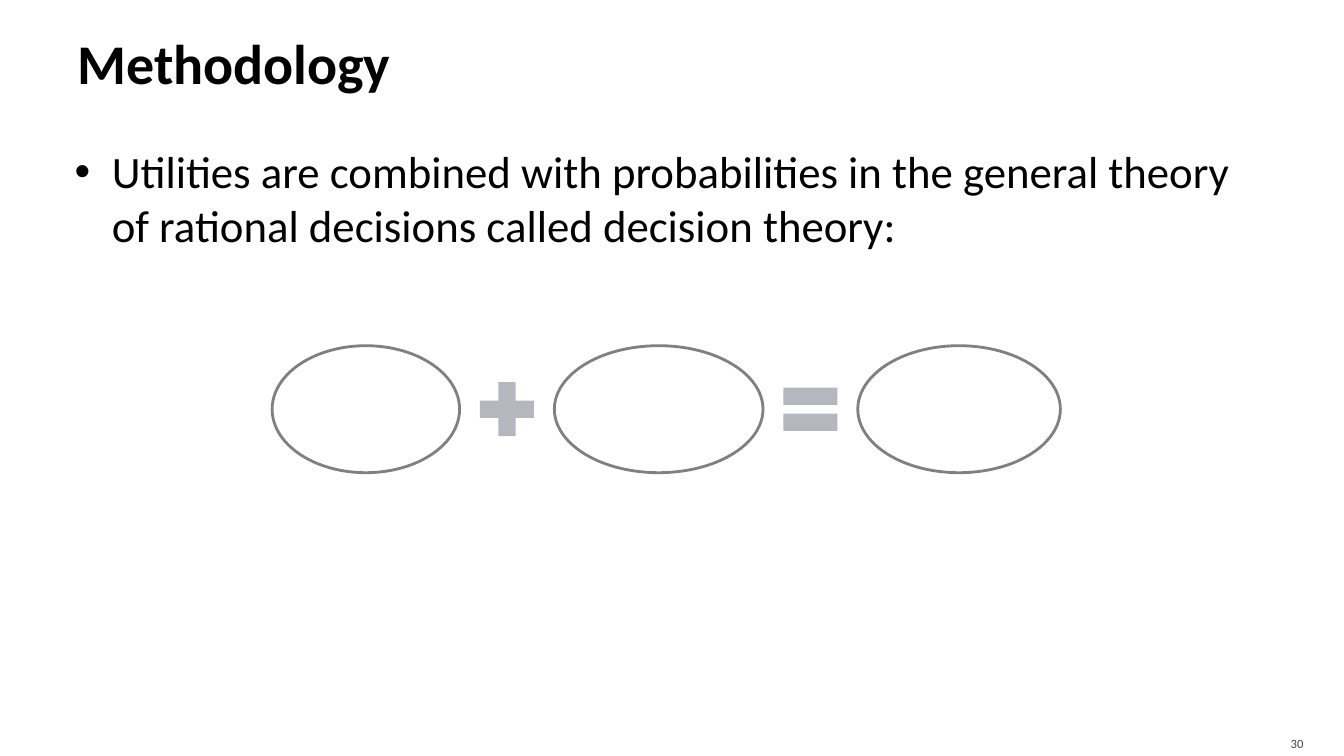
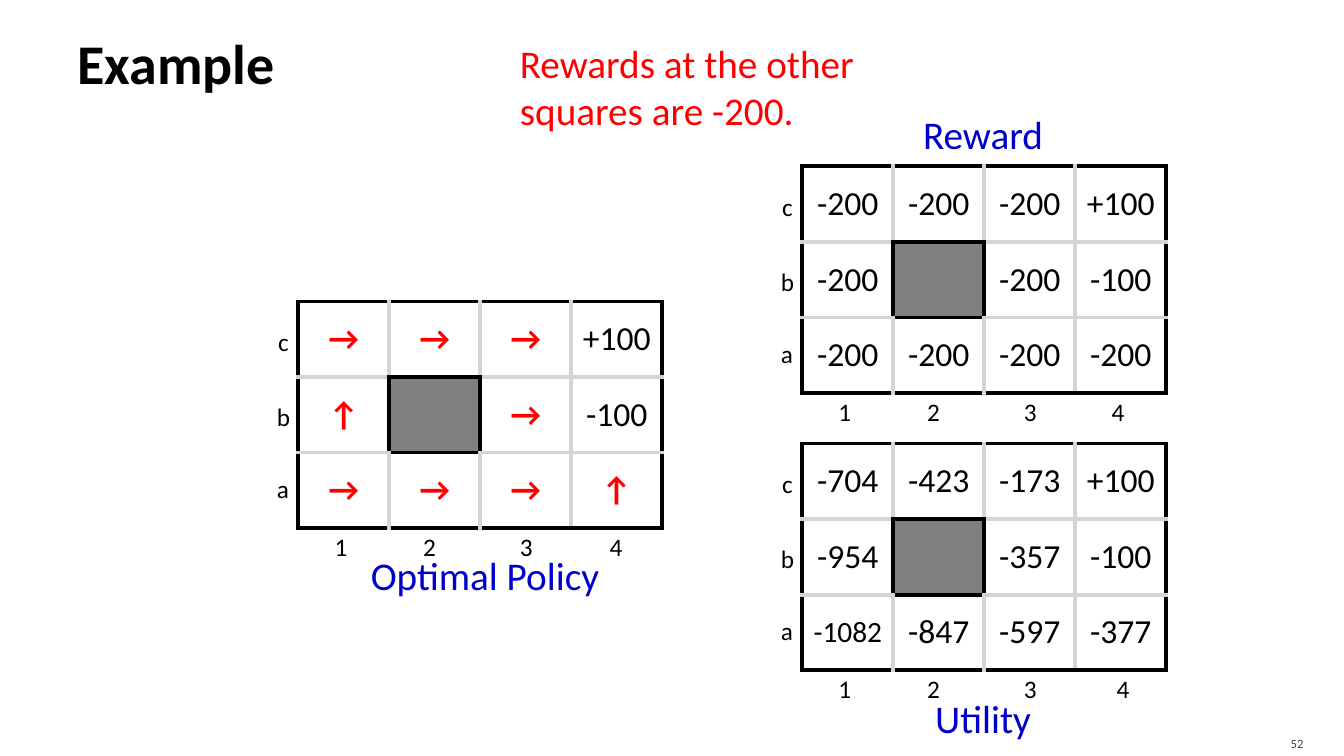
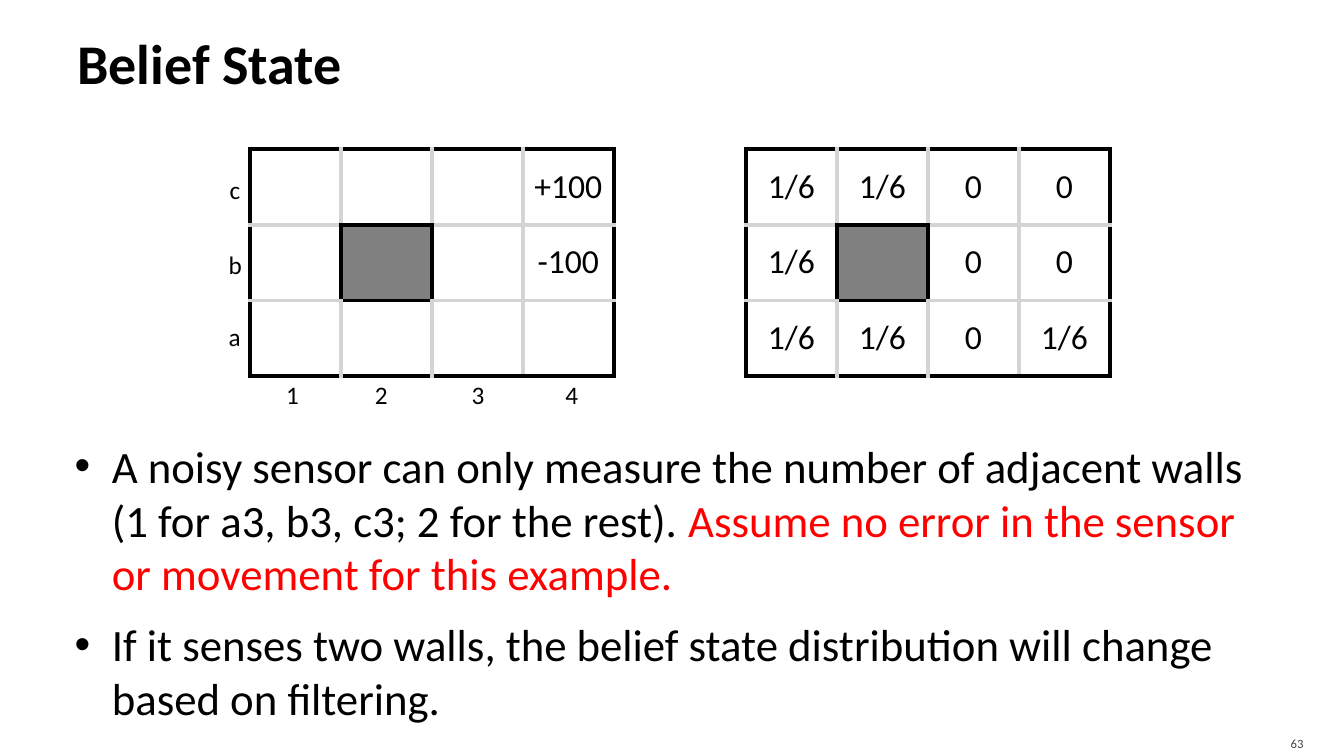
"""Build three slides on decision theory, grid-world utilities and belief states."""
from dataclasses import dataclass

from lxml.etree import SubElement
from pptx import Presentation
from pptx.dml.color import RGBColor as RGB
from pptx.enum.shapes import MSO_SHAPE as SHAPE
from pptx.enum.text import MSO_ANCHOR as ANCHOR, MSO_AUTO_SIZE as FIT, PP_ALIGN as ALIGN
from pptx.oxml import parse_xml
from pptx.oxml.ns import nsdecls, qn
from pptx.util import Emu, Pt

PX = 9144


@dataclass(frozen=True)
class Theme:
    font: str = "Calibri"
    ink: str = "000000"
    alert: str = "FF0000"
    caption: str = "0000CC"
    footer: str = "454545"
    wall: str = "808080"
    rule: str = "D4D4D6"
    operator: str = "B5B7BE"
    paper: str = "FFFFFF"
    title_pt: int = 40
    body_pt: int = 32
    caption_pt: int = 28
    cell_pt: int = 24
    long_cell_pt: int = 21
    axis_pt: int = 18
    footer_pt: int = 9
    rule_pt: int = 3
    outline_pt: int = 2


theme = Theme()


def write(slide, text, *, at=None, frame=None, size=theme.axis_pt, color=theme.ink,
          bold=False, align=ALIGN.LEFT, anchor=ANCHOR.TOP, inset=(10, 5, 10, 5),
          wrap=False, bullet=False):
    """Write a string, or a list of (text, color) runs, as one paragraph."""
    if frame is None:
        frame = slide.shapes.add_textbox(*(Emu(n * PX) for n in at)).text_frame
        frame.word_wrap = wrap
        frame.auto_size = FIT.NONE if wrap else FIT.SHAPE_TO_FIT_TEXT
        frame.vertical_anchor = anchor
        (frame.margin_left, frame.margin_top,
         frame.margin_right, frame.margin_bottom) = (Emu(n * PX) for n in inset)
    line = frame.add_paragraph() if frame.text else frame.paragraphs[0]
    line.alignment = align
    for words, tint in [(text, color)] if isinstance(text, str) else text:
        run = line.add_run()
        run.text = words
        run.font.name = theme.font
        run.font.size = Pt(size)
        run.font.bold = bold
        run.font.color.rgb = RGB.from_string(tint)
    if bullet:
        line.space_before = line.space_after = Pt(6)
        props = line._p.get_or_add_pPr()
        props.set("marL", str(38 * PX))
        props.set("indent", str(-37 * PX))
        SubElement(SubElement(props, qn("a:buClr")), qn("a:srgbClr"), val=theme.ink)
        SubElement(props, qn("a:buFont"), typeface="Arial")
        SubElement(props, qn("a:buChar"), char="•")
    return frame


def draw_world(slide, left, top, rows, fourth=None):
    """Draw a 4 by 3 world with a wall at b2, and axis labels if fourth is given."""
    width, height, wall = 361, 225, (1, 1)
    world = slide.shapes.add_table(3, 4, *(Emu(n * PX) for n in (left, top, width, height))).table
    world.first_row = world.horz_banding = False
    for column in world.columns:
        column.width = Emu(width * PX // 4)
    for r, values in enumerate(rows):
        for c, value in enumerate(values):
            cell = world.cell(r, c)
            cell.vertical_anchor = ANCHOR.MIDDLE
            cell.margin_left = cell.margin_right = Emu(5 * PX)
            if (r, c) == wall:
                cell.fill.solid()
                cell.fill.fore_color.rgb = RGB.from_string(theme.wall)
            else:
                cell.fill.background()
            if value:
                is_move = value in "→↑"
                write(slide, value, frame=cell.text_frame, align=ALIGN.CENTER, bold=is_move,
                      color=theme.alert if is_move else theme.ink,
                      size=theme.long_cell_pt if len(value) > 4 else theme.cell_pt)
            neighbours = {"L": (r, c - 1), "R": (r, c + 1), "T": (r - 1, c), "B": (r + 1, c)}
            for order, (side, (nr, nc)) in enumerate(neighbours.items()):
                inside = 0 <= nr < 3 and 0 <= nc < 4
                dark = not inside or wall in ((r, c), (nr, nc))
                cell._tc.get_or_add_tcPr().insert(order, parse_xml(
                    f'<a:ln{side} {nsdecls("a")} w="{Pt(theme.rule_pt)}"><a:solidFill>'
                    f'<a:srgbClr val="{theme.ink if dark else theme.rule}"/>'
                    f'</a:solidFill></a:ln{side}>'))
    if fourth is not None:
        for label, dx, dy, w in (("c", -30, 20, 32), ("b", -31, 94, 34), ("a", -31, 166, 33),
                                 ("1", 26, 223, 29), ("2", 114, 223, 33),
                                 ("3", 210, 223, 33), ("4", fourth, 223, 34)):
            write(slide, label, at=(left + dx, top + dy, w, 40))


deck = Presentation()
deck.slide_width, deck.slide_height = Emu(12192000), Emu(750 * PX)
pages = []
for title, number in (("Methodology", "30"), ("Example", "52"), ("Belief State", "63")):
    page = deck.slides.add_slide(deck.slide_layouts[6])
    write(page, title, at=(67, 8, 1200, 108), size=theme.title_pt, bold=True,
          anchor=ANCHOR.MIDDLE, inset=(10, 5, 5, 5), wrap=True)
    write(page, number, at=(1196, 720, 107, 30), size=theme.footer_pt, color=theme.footer,
          align=ALIGN.RIGHT, anchor=ANCHOR.MIDDLE, inset=(10, 5, 10, 0), wrap=True)
    pages.append(page)
methodology, example, belief = pages
body = dict(size=theme.body_pt, inset=(6, 10, 10, 5), wrap=True, bullet=True)

write(methodology, "Utilities are combined with probabilities in the general theory of "
      "rational decisions called decision theory:", at=(67, 133, 1200, 583), **body)
equation = ((SHAPE.OVAL, 186), (SHAPE.MATH_PLUS, 73), (SHAPE.OVAL, 207),
            (SHAPE.MATH_EQUAL, 73), (SHAPE.OVAL, 201))
left, right, middle = 270, 1052, 406
gap = (right - left - sum(width for _, width in equation)) / (len(equation) - 1)
for kind, width in equation:
    is_term = kind == SHAPE.OVAL
    height = 126 if is_term else width
    part = methodology.shapes.add_shape(
        kind, *(Emu(int(n * PX)) for n in (left, middle - height / 2, width, height)))
    part.shadow.inherit = False
    part.fill.solid()
    part.fill.fore_color.rgb = RGB.from_string(theme.paper if is_term else theme.operator)
    if is_term:
        part.line.color.rgb = RGB.from_string(theme.wall)
        part.line.width = Pt(theme.outline_pt)
    else:
        part.line.fill.background()
    left += width + gap

draw_world(example, 796, 165, [["-200", "-200", "-200", "+100"],
                               ["-200", "", "-200", "-100"],
                               ["-200", "-200", "-200", "-200"]], fourth=297)
draw_world(example, 796, 440, [["-704", "-423", "-173", "+100"],
                               ["-954", "", "-357", "-100"],
                               ["-1082", "-847", "-597", "-377"]], fourth=302)
draw_world(example, 296, 299, [["→", "→", "→", "+100"],
                               ["↑", "", "→", "-100"],
                               ["→", "→", "→", "↑"]], fourth=299)
for caption, at in (("Utility", (918, 684, 119, 57)),
                    ("Optimal Policy", (358, 542, 258, 57)),
                    ("Reward", (906, 105, 149, 57))):
    write(example, caption, at=at, size=theme.caption_pt, color=theme.caption)
write(example, "Rewards at the other squares are -200.", at=(506, 34, 381, 104),
      size=theme.caption_pt, color=theme.alert, wrap=True)

draw_world(belief, 248, 148, [["", "", "", "+100"],
                              ["", "", "", "-100"],
                              ["", "", "", ""]], fourth=303)
draw_world(belief, 740, 148, [["1/6", "1/6", "0", "0"],
                              ["1/6", "", "0", "0"],
                              ["1/6", "1/6", "0", "1/6"]])
notes = write(belief, [("A noisy sensor can only measure the number of adjacent walls "
                        "(1 for a3, b3, c3; 2 for the rest). ", theme.ink),
                       ("Assume no error in the sensor or movement for this example.",
                        theme.alert)], at=(67, 425, 1200, 292), **body)
write(belief, "If it senses two walls, the belief state distribution will change "
      "based on filtering.", frame=notes, **body)

deck.save("out.pptx")
